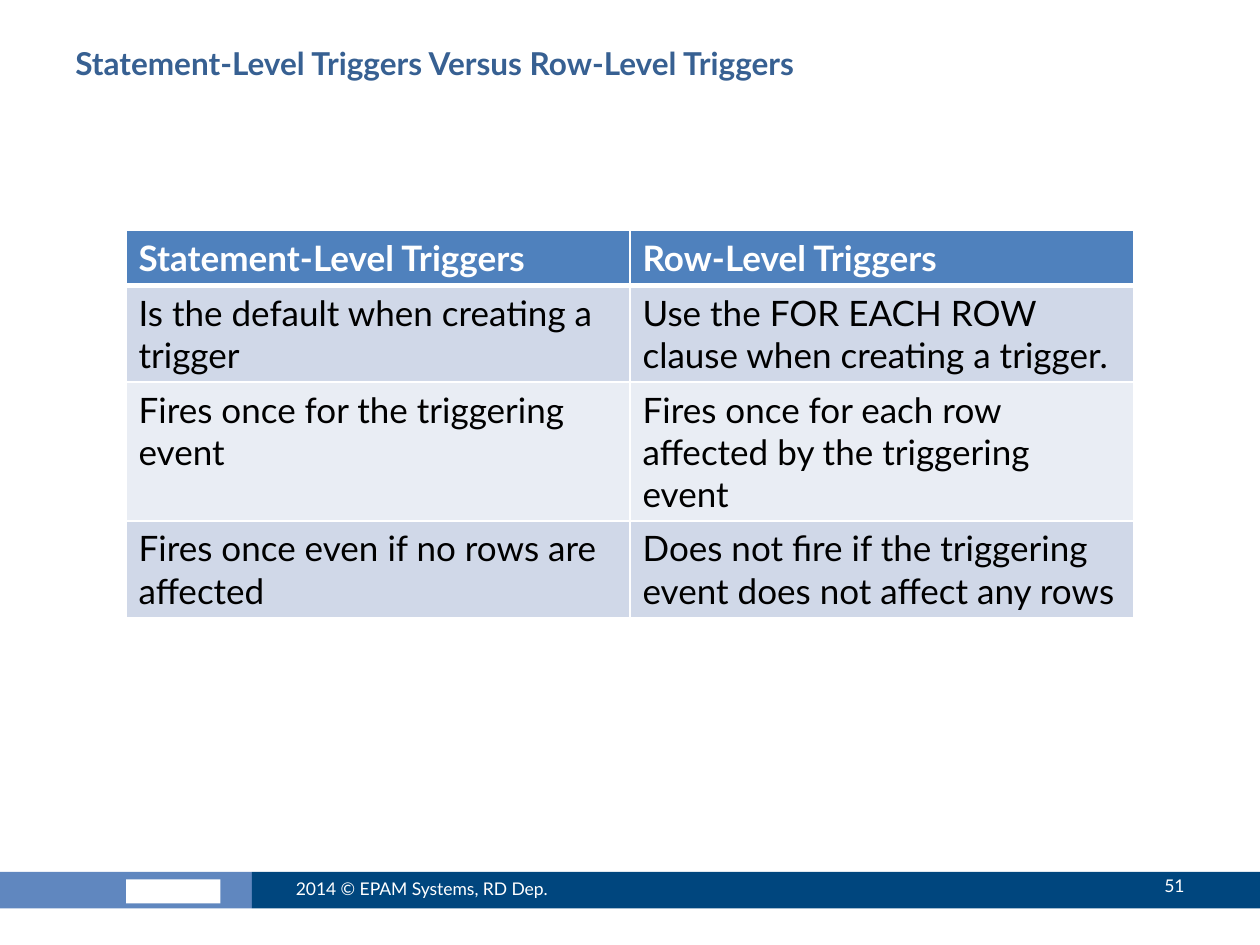
from pptx import Presentation
from pptx.dml.color import RGBColor as RGB
from pptx.enum.shapes import MSO_SHAPE as SHAPE
from pptx.enum.text import MSO_ANCHOR as ANCHOR, PP_ALIGN as ALIGN
from pptx.oxml import parse_xml
from pptx.oxml.ns import nsdecls
from pptx.util import Inches, Pt

FONT = "Lato"
COLORS = {
    "title": "376092", "header": "4F81BD", "odd": "D0D8E8", "even": "E9EDF4",
    "brand": "6087BF", "footer": "00467E", "white": "FFFFFF", "black": "000000",
}
ROWS = [
    ("Statement-Level Triggers", "Row-Level Triggers"),
    ("Is the default when creating a trigger",
     "Use the FOR EACH ROW clause when creating a trigger."),
    ("Fires once for the triggering event",
     "Fires once for each row affected by the triggering event"),
    ("Fires once even if no rows are affected",
     "Does not fire if the triggering event does not affect any rows"),
]
ROW_HEIGHTS = [0.43, 0.77, 1.1, 0.77]


def color(name):
    """Return the named colour."""
    return RGB.from_string(COLORS[name])


def write(tf, text, size, ink, bold=False, align=ALIGN.LEFT):
    """Fill a text frame with one formatted paragraph."""
    tf.text = text
    p = tf.paragraphs[0]
    p.alignment = align
    font = p.runs[0].font
    font.name, font.size, font.bold = FONT, Pt(size), bold
    font.color.rgb = color(ink)


def add_text(s, box, text, size, ink, anchor=ANCHOR.MIDDLE, **style):
    """Add a wrapping text box."""
    tf = s.shapes.add_textbox(*map(Inches, box)).text_frame
    tf.word_wrap = True
    tf.vertical_anchor = anchor
    write(tf, text, size, ink, **style)


def add_bar(s, box, fill):
    """Add a plain rectangle without outline."""
    sp = s.shapes.add_shape(SHAPE.RECTANGLE, *map(Inches, box))
    sp.shadow.inherit = False
    sp.fill.solid()
    sp.fill.fore_color.rgb = color(fill)
    sp.line.fill.background()


def add_borders(cell, widths):
    """Draw white borders, given as points by side."""
    tc_pr = cell._tc.get_or_add_tcPr()
    for side, width in widths.items():
        tc_pr.append(parse_xml(
            f'<a:ln{side} {nsdecls("a")} w="{Pt(width)}"><a:solidFill>'
            f'<a:srgbClr val="{COLORS["white"]}"/></a:solidFill></a:ln{side}>'))


def add_comparison(s, left, top, width):
    """Add the table that compares the two trigger levels."""
    frame = s.shapes.add_table(len(ROWS), len(ROWS[0]), Inches(left), Inches(top),
                               Inches(width), Inches(sum(ROW_HEIGHTS)))
    table = frame.table
    for i, (texts, height) in enumerate(zip(ROWS, ROW_HEIGHTS)):
        table.rows[i].height = Inches(height)
        header = i == 0
        fill = "header" if header else "odd" if i % 2 else "even"
        for j, text in enumerate(texts):
            cell = table.cell(i, j)
            add_borders(cell, {"L": 1, "R": 1, "T": 3 if i == 1 else 1,
                               "B": 3 if header else 1})
            cell.fill.solid()
            cell.fill.fore_color.rgb = color(fill)
            write(cell.text_frame, text, 20, "white" if header else "black", header)


def add_footer(s, width, top=6.92, height=0.29):
    """Add the footer band with its mark, copyright line and page number."""
    split = width / 5
    add_bar(s, (0, top, split, height), "brand")
    add_bar(s, (split, top, width - split, height), "footer")
    add_bar(s, (split / 2, 6.98, 0.75, 0.19), "white")
    add_text(s, (2.25, 6.85, 2.67, 0.4), "2014 © EPAM Systems, RD Dep.", 10, "white")
    add_text(s, (8.42, 6.83, 1.08, 0.4), "51", 10, "white", align=ALIGN.RIGHT)


def main():
    """Build the slide and save it."""
    prs = Presentation()
    prs.slide_width, prs.slide_height = Inches(10), Inches(7.5)
    s = prs.slides.add_slide(prs.slide_layouts[6])
    add_footer(s, 10)
    add_text(s, (0.5, 0.3, 9, 0.78), "Statement-Level Triggers Versus Row-Level Triggers",
             18, "title", ANCHOR.TOP, bold=True)
    add_comparison(s, 1, 1.83, 8)
    prs.save("out.pptx")


if __name__ == "__main__":
    main()
